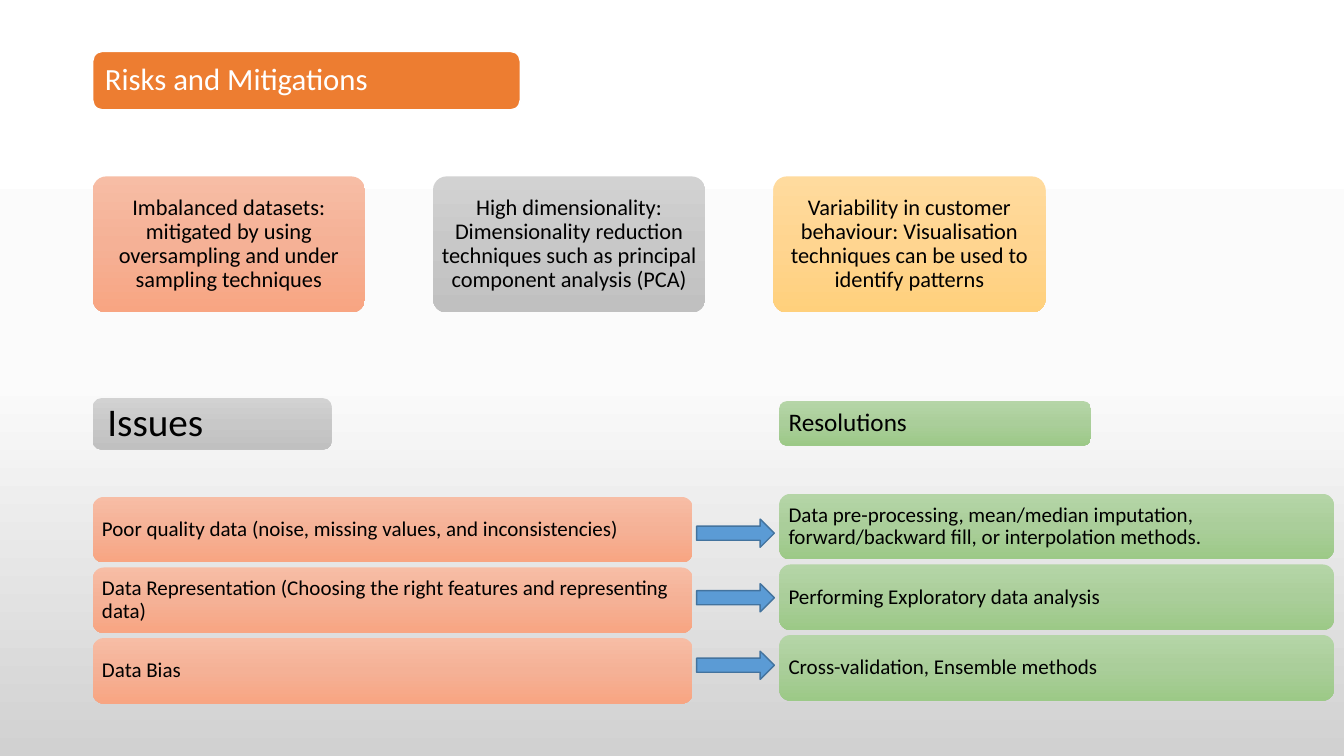
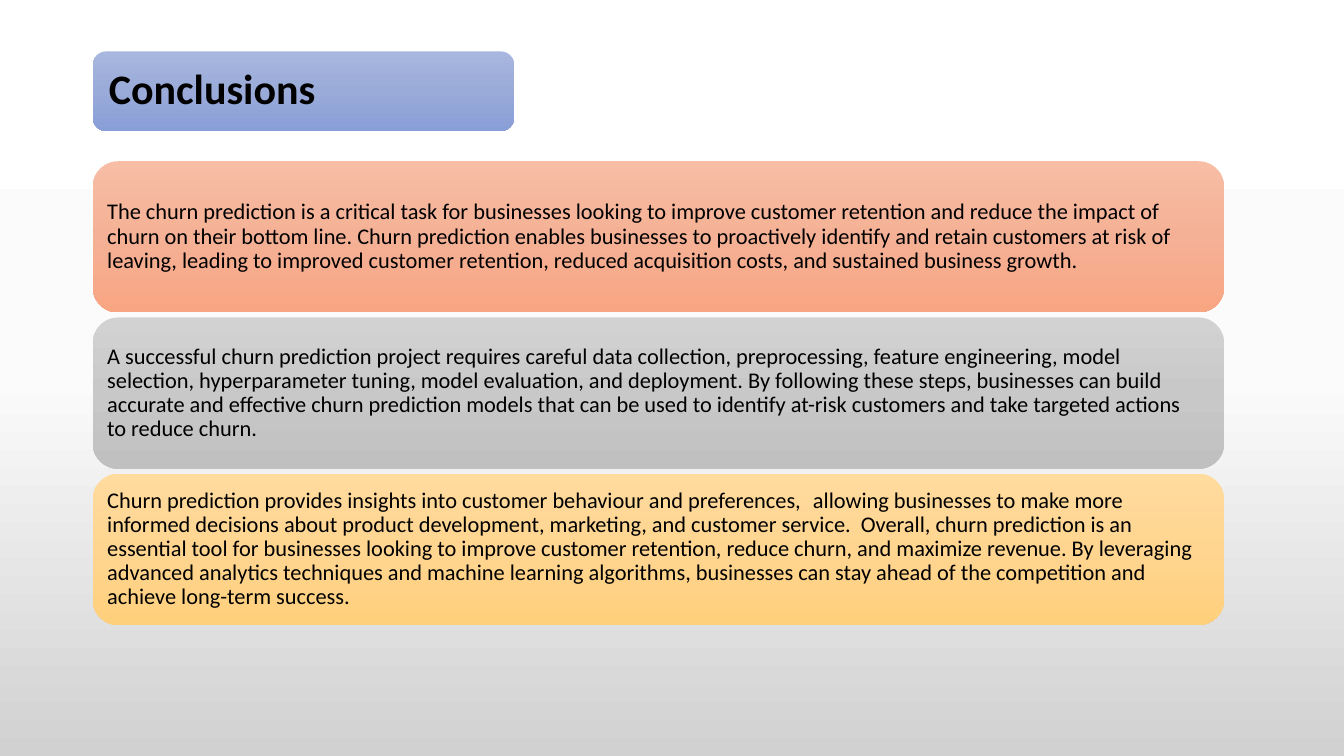
from copy import deepcopy
from dataclasses import dataclass

from pptx import Presentation
from pptx.dml.color import RGBColor
from pptx.dml.fill import FillFormat
from pptx.enum.shapes import MSO_SHAPE as SHAPE
from pptx.enum.text import MSO_ANCHOR as ANCHOR, MSO_AUTO_SIZE as AUTO_SIZE, PP_ALIGN as ALIGN
from pptx.shapes.base import BaseShape
from pptx.slide import Slide
from pptx.util import Inches, Pt

FONT = "Calibri"
COLORS = {"white": "FFFFFF", "black": "000000", "orange": "ED7D31",
          "arrow": "5B9BD5", "arrow_line": "43739E"}
GRADIENTS = {
    "page": ("FFFFFF", "FBFBFB", "D1D1D1"),
    "salmon": ("F7BDA5", "F5B196", "F8A582"),
    "gray": ("D2D2D2", "C8C8C8", "C0C0C0"),
    "gold": ("FFDB9E", "FFD590", "FFD07C"),
    "green": ("B5D5A7", "AACE9A", "9CC987"),
    "blue": ("A8B7DF", "9AABD9", "889ED7"),
}
LEFT = 0.92
RIGHT_COLUMN = 7.73
TITLE_TOP = 0.51

RISKS = [
    ("salmon", "Imbalanced datasets: mitigated by using oversampling and under sampling techniques"),
    ("gray", "High dimensionality: Dimensionality reduction techniques such as principal "
             "component analysis (PCA)"),
    ("gold", "Variability in customer behaviour: Visualisation techniques can be used to "
             "identify patterns"),
]
ISSUES = [
    "Poor quality data (noise, missing values, and inconsistencies)",
    "Data Representation (Choosing the right features and representing data)",
    "Data Bias",
]
RESOLUTIONS = [
    "Data pre-processing, mean/median imputation, forward/backward fill, or interpolation methods.",
    "Performing Exploratory data analysis",
    "Cross-validation, Ensemble methods",
]
CONCLUSIONS = [
    ("salmon", "The churn prediction is a critical task for businesses looking to improve customer "
               "retention and reduce the impact of churn on their bottom line. Churn prediction "
               "enables businesses to proactively identify and retain customers at risk of leaving, "
               "leading to improved customer retention, reduced acquisition costs, and sustained "
               "business growth."),
    ("gray", "A successful churn prediction project requires careful data collection, preprocessing, "
             "feature engineering, model selection, hyperparameter tuning, model evaluation, and "
             "deployment. By following these steps, businesses can build accurate and effective churn "
             "prediction models that can be used to identify at-risk customers and take targeted "
             "actions \tto reduce churn."),
    ("gold", "Churn prediction provides insights into customer behaviour and preferences, \tallowing "
             "businesses to make more informed decisions about product development, marketing, and "
             "customer service.  Overall, churn prediction is an essential tool for businesses looking "
             "to improve customer retention, reduce churn, and maximize revenue. By leveraging advanced "
             "analytics techniques and machine learning algorithms, businesses can stay ahead of the "
             "competition and achieve long-term success."),
]


@dataclass(frozen=True)
class Rect:
    left: float
    top: float
    width: float
    height: float

    def lengths(self) -> list[int]:
        return [Inches(v) for v in (self.left, self.top, self.width, self.height)]


@dataclass(frozen=True)
class TextStyle:
    size: float
    inset: float
    align: ALIGN = ALIGN.LEFT
    bold: bool = False
    color: str = "black"


CARD = TextStyle(16, 0.03, ALIGN.CENTER)
ROW = TextStyle(15, 0.06)
CONCLUSION = TextStyle(16, 0.07)


def rgb(name: str) -> RGBColor:
    return RGBColor.from_string(COLORS[name])


def set_fill(fill: FillFormat, name: str) -> None:
    """Fill with a plain colour, or top to bottom with a three-stop gradient."""
    if name in COLORS:
        fill.solid()
        fill.fore_color.rgb = rgb(name)
        return
    fill.gradient()
    fill.gradient_angle = 270
    last = fill.gradient_stops[1]._gs
    last.addprevious(deepcopy(last))
    for stop, position, color in zip(fill.gradient_stops, (0, 0.5, 1), GRADIENTS[name]):
        stop.position = position
        stop.color.rgb = RGBColor.from_string(color)


def add_text(sp: BaseShape, text: str, style: TextStyle) -> None:
    tf = sp.text_frame
    inset = Inches(style.inset)
    frame_format = {"word_wrap": True, "auto_size": AUTO_SIZE.NONE, "vertical_anchor": ANCHOR.MIDDLE,
                    "margin_left": inset, "margin_right": inset,
                    "margin_top": inset, "margin_bottom": inset}
    p = tf.paragraphs[0]
    r = p.add_run()
    r.text = text
    formats = (
        (tf, frame_format),
        (p, {"alignment": style.align, "line_spacing": 0.9}),
        (r.font, {"name": FONT, "size": Pt(style.size), "bold": style.bold}),
    )
    for target, values in formats:
        for name, value in values.items():
            setattr(target, name, value)
    r.font.color.rgb = rgb(style.color)


def add_shape(slide: Slide, kind: SHAPE, rect: Rect, fill: str, line: str = "") -> BaseShape:
    sp = slide.shapes.add_shape(kind, *rect.lengths())
    sp.shadow.inherit = False
    set_fill(sp.fill, fill)
    if line:
        sp.line.color.rgb = rgb(line)
        sp.line.width = Pt(1)
    else:
        sp.line.fill.background()
    return sp


def add_box(slide: Slide, rect: Rect, fill: str, text: str, style: TextStyle) -> BaseShape:
    sp = add_shape(slide, SHAPE.ROUNDED_RECTANGLE, rect, fill)
    add_text(sp, text, style)
    return sp


def add_title(slide: Slide, rect: Rect, fill: str, text: str, style: TextStyle, line: str = "") -> None:
    """Put the title placeholder in front of a rounded band."""
    add_shape(slide, SHAPE.ROUNDED_RECTANGLE, rect, fill, line)
    title = slide.shapes.title
    title.left, title.top, title.width, title.height = rect.lengths()
    add_text(title, text, style)
    slide.shapes._spTree.append(title._element)


def add_rows(slide: Slide, first: Rect, fill: str, texts: list[str]) -> None:
    for i, text in enumerate(texts):
        rect = Rect(first.left, first.top + 0.7 * i, first.width, first.height)
        add_box(slide, rect, fill, text, ROW)


def build_risks(slide: Slide) -> None:
    add_title(slide, Rect(LEFT, TITLE_TOP, 4.24, 0.58), "orange", "Risks and Mitigations",
              TextStyle(22, 0.12, color="white"), "white")
    for i, (fill, text) in enumerate(RISKS):
        card = add_box(slide, Rect(LEFT + 3.375 * i, 1.75, 2.7, 1.35), fill, text, CARD)
        card.adjustments[0] = 0.1

    add_box(slide, Rect(LEFT, 3.95, 2.37, 0.51), "gray", "Issues", TextStyle(28, 0.12))
    add_rows(slide, Rect(LEFT, 4.93, 5.95, 0.65), "salmon", ISSUES)
    add_box(slide, Rect(RIGHT_COLUMN, 3.98, 3.09, 0.44), "green", "Resolutions", TextStyle(18, 0.07))
    add_rows(slide, Rect(RIGHT_COLUMN, 4.9, 5.5, 0.65), "green", RESOLUTIONS)
    for top in (5.15, 5.79, 6.46):
        add_shape(slide, SHAPE.RIGHT_ARROW, Rect(6.91, top, 0.77, 0.28), "arrow", "arrow_line")


def build_conclusions(slide: Slide) -> None:
    for i, (fill, text) in enumerate(CONCLUSIONS):
        add_box(slide, Rect(LEFT, 1.6 + 1.55 * i, 11.22, 1.5), fill, text, CONCLUSION)
    add_title(slide, Rect(LEFT, TITLE_TOP, 4.18, 0.79), "blue", "Conclusions",
              TextStyle(30, 0.16, bold=True))


def main() -> None:
    prs = Presentation()
    prs.slide_width, prs.slide_height = Inches(13.33), Inches(7.5)
    set_fill(prs.slide_master.background.fill, "page")
    title_only = prs.slide_layouts.get_by_name("Title Only")
    for build in (build_risks, build_conclusions):
        build(prs.slides.add_slide(title_only))
    prs.save("out.pptx")


if __name__ == "__main__":
    main()
